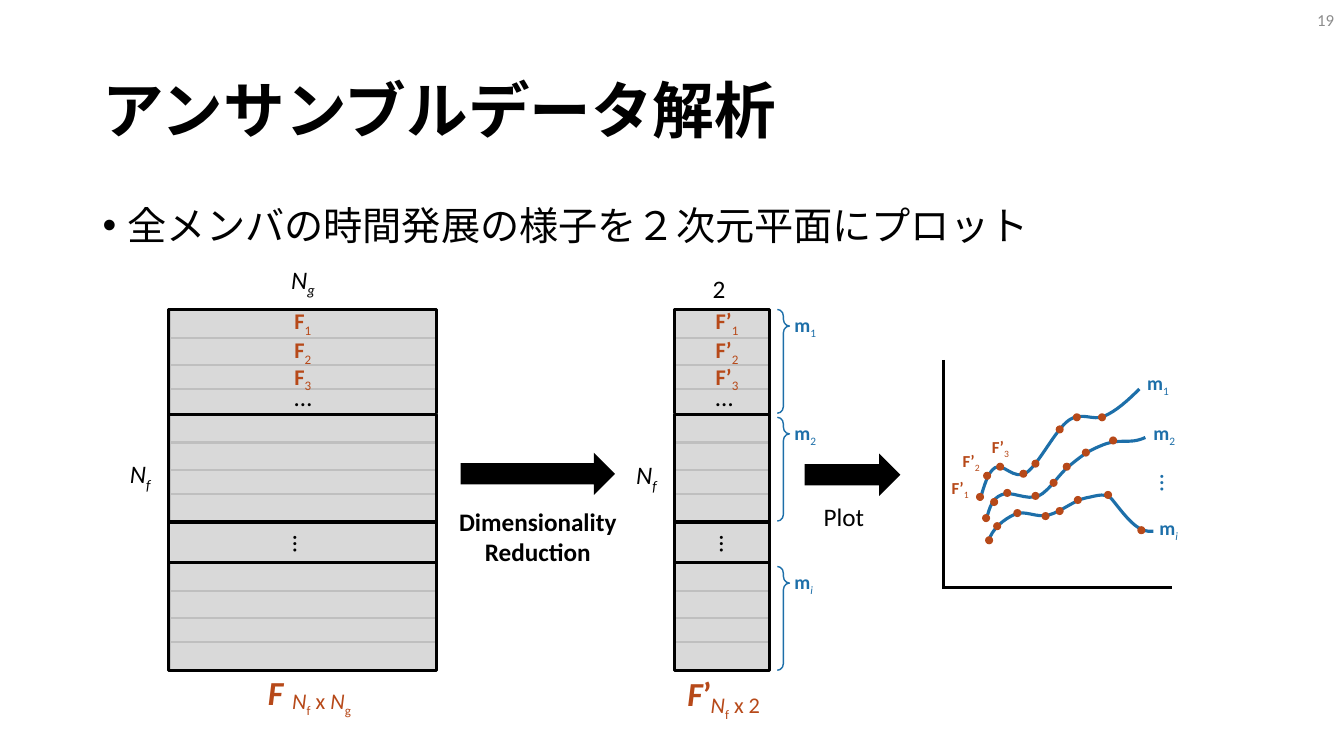
from lxml import etree
from pptx import Presentation
from pptx.dml.color import RGBColor
from pptx.enum.lang import MSO_LANGUAGE_ID as Language
from pptx.enum.shapes import MSO_CONNECTOR as Connector, MSO_SHAPE as Shape
from pptx.enum.text import MSO_ANCHOR as Anchor, MSO_AUTO_SIZE as AutoSize, PP_ALIGN as Align
from pptx.oxml.ns import qn
from pptx.util import Pt

PX = 9144  # 100 px to the inch
BLACK, BLUE, RUST = "000000", "1D6FA9", "B74919"
PALE, SILVER, GRAY = "D9D9D9", "BFBFBF", "8C8C8C"
ROW_OFFSETS = (0, 28, 55, 79)
BLOCKS = ((307, 105), (411, 107), (558, 107))
MEMBERS = (("1", "s"), ("2", "s"), ("i", "is"))

# Each curve is a start point followed by cubic segments of three points.
CURVES = (
    ((972, 496), (976, 482), (980, 468), (987, 464), (995, 459), (1006, 477), (1018, 469),
     (1030, 461), (1047, 426), (1060, 417), (1073, 408), (1084, 418), (1095, 413),
     (1107, 408), (1119, 397), (1130, 386)),
    ((980, 538), (984, 524), (996, 515), (1007, 510), (1017, 506), (1028, 514), (1040, 511),
     (1052, 508), (1066, 496), (1077, 494), (1088, 492), (1098, 487), (1105, 498),
     (1120, 517), (1130, 529), (1144, 527)),
    ((978, 516), (982, 502), (984, 495), (993, 491), (1002, 486), (1018, 497), (1030, 492),
     (1041, 487), (1051, 469), (1062, 461), (1072, 453), (1078, 448), (1090, 443),
     (1112, 433), (1118, 442), (1136, 434)),
)
DOTS = (
    (968, 489), (975, 468), (988, 459), (1011, 466), (1023, 456), (1047, 422), (1064, 410), (1089, 410),
    (974, 510), (982, 494), (995, 485), (1023, 488), (1041, 475), (1054, 459), (1073, 445), (1100, 433),
    (977, 532), (985, 518), (1005, 505), (1033, 508), (1047, 503), (1065, 492), (1095, 487), (1128, 522),
)


def color(code):
    return RGBColor.from_string(code)


def box_emu(box):
    return [value * PX for value in box]


def add_text(page, box, *lines, size=18, ink=BLACK, align=None, anchor=Anchor.TOP,
             wrap=False, spacing=None, bullet=False, rotation=0):
    """Each line is a list of (text, style); style letters: b bold, i italic, s subscript."""
    shape = page.shapes.add_textbox(*box_emu(box))
    shape.rotation = rotation
    frame = shape.text_frame
    frame.word_wrap = wrap
    frame.auto_size = AutoSize.NONE if wrap else AutoSize.SHAPE_TO_FIT_TEXT
    frame.vertical_anchor = anchor
    for index, line in enumerate(lines):
        para = frame.add_paragraph() if index else frame.paragraphs[0]
        para.alignment = align
        para.line_spacing = spacing
        if bullet:
            add_bullet(para)
        for text, style in line:
            span = para.add_run()
            span.text = text
            font = span.font
            font.name, font.size = "Calibri", Pt(size)
            font.bold, font.italic = "b" in style, "i" in style
            font.color.rgb = color(ink)
            font.language_id = Language.JAPANESE
            if "s" in style:
                span._r.get_or_add_rPr().set("baseline", "-25000")


def add_bullet(para):
    properties = para._p.get_or_add_pPr()
    properties.set("marL", str(25 * PX))
    properties.set("indent", str(-25 * PX))
    etree.SubElement(properties, qn("a:buFont")).set("typeface", "Arial")
    etree.SubElement(properties, qn("a:buChar")).set("char", "•")


def paint(shape, fill=None, line=None, weight=1.5):
    shape.shadow.inherit = False
    if fill:
        shape.fill.solid()
        shape.fill.fore_color.rgb = color(fill)
    else:
        shape.fill.background()
    if line:
        shape.line.color.rgb = color(line)
        shape.line.width = Pt(weight)
    else:
        shape.line.fill.background()


def add_preset(page, kind, box, **look):
    shape = page.shapes.add_shape(kind, *box_emu(box))
    paint(shape, **look)
    return shape


def add_axis(page, *ends):
    axis = page.shapes.add_connector(Connector.STRAIGHT, *box_emu(ends))
    axis.line.color.rgb = color(BLACK)
    axis.line.width = Pt(2.25)
    etree.SubElement(axis._element.spPr, qn("a:effectLst"))


def add_curve(page, points):
    """Join every third point by a line, then bend each line with its two control points."""
    builder = page.shapes.build_freeform(*points[0], scale=PX)
    builder.add_line_segments(points[3::3], close=False)
    curve = builder.convert_to_shape()
    left, top = (min(values) for values in zip(*points[::3]))
    segments = list(curve._element.iter(qn("a:lnTo")))
    for index, segment in enumerate(segments):
        segment.tag = qn("a:cubicBezTo")
        for place, (x, y) in enumerate(points[3 * index + 1:3 * index + 3]):
            control = etree.Element(qn("a:pt"), x=str(x - left), y=str(y - top))
            segment.insert(place, control)
    paint(curve, line=BLUE, weight=2.25)


def add_matrix(page, left, width, inset, symbol, label_left, label_width, dots_left):
    for top, height in BLOCKS:
        for offset in ROW_OFFSETS:
            add_preset(page, Shape.RECTANGLE, (left + inset, top + offset, width - inset, 28),
                       fill=PALE, line=SILVER)
        add_preset(page, Shape.RECTANGLE, (left, top, width, height), line=BLACK, weight=2.25)
    add_preset(page, Shape.RECTANGLE, (left, 518, width, 40), fill=PALE, line=BLACK, weight=2.25)
    add_text(page, (label_left, 373, 38, 40), [("…", "")])
    for number, top in enumerate((300, 329, 355), 1):
        add_text(page, (label_left, top, label_width, 37), [(symbol, "b"), (str(number), "s")],
                 size=16, ink=RUST)
    add_text(page, (dots_left, 520, 38, 40), [("…", "")], rotation=90)


def add_member(page, left, top, member):
    add_text(page, (left, top, 43 if member[0] != "i" else 39, 34), [("m", "b"), member],
             size=14, ink=BLUE)


def add_matrices(page):
    rows = [("N", "i"), ("f", "is")]
    product = [("N", "i"), ("f", "s")]
    add_text(page, (279, 257, 45, 40), [("N", "i"), ("g", "is")])
    add_text(page, (119, 450, 42, 40), rows)
    add_text(page, (256, 662, 36, 50), [("F", "bi")], size=24, ink=RUST)
    add_text(page, (280, 677, 81, 37), product + [(" x ", ""), ("N", "i"), ("g", "s")],
             size=16, ink=RUST)
    add_matrix(page, 167, 266, 2, "F", 282, 38, 282)

    add_preset(page, Shape.RIGHT_ARROW, (457, 449, 153, 42), fill=BLACK)
    add_text(page, (445, 497, 177, 71), [("Dimensionality", "b")], [("Reduction", "b")],
             align=Align.CENTER)

    add_text(page, (621, 451, 42, 40), rows)
    add_text(page, (697, 266, 37, 40), [("2", "")], wrap=True)
    add_text(page, (672, 663, 45, 50), [("F", "bi"), ("’", "b")], size=24, ink=RUST)
    add_text(page, (695, 681, 71, 37), product + [(" x 2", "")], size=16, ink=RUST)
    add_matrix(page, 669, 94, 0, "F’", 700, 44, 705)


def add_plot(page):
    for points in CURVES:
        add_curve(page, points)
    for member, left, top in zip(MEMBERS, (1128, 1134, 1140), (363, 413, 507)):
        add_member(page, left, top, member)
    add_text(page, (1142, 460, 38, 40), [("…", "")], ink=BLUE, rotation=90)
    add_preset(page, Shape.RIGHT_ARROW, (798, 450, 95, 42), fill=BLACK)
    add_text(page, (807, 492, 61, 40), [("Plot", "")])
    add_axis(page, 936, 357, 936, 584)
    add_axis(page, 1162, 583, 936, 583)
    for left, top in DOTS:
        add_preset(page, Shape.OVAL, (left, top, 8, 8), fill=RUST)
    for number, (left, top) in enumerate(((934, 469), (945, 442), (974, 428)), 1):
        add_text(page, (left, top, 38, 30), [("F’", "b"), (str(number), "s")], size=12, ink=RUST)


def add_braces(page):
    for member, label_top, brace_top in zip(MEMBERS, (306, 413, 561), (307, 414, 562)):
        add_member(page, 778, label_top, member)
        brace = add_preset(page, Shape.RIGHT_BRACE, (771, brace_top, 12, 103), line=BLUE, weight=1)
        brace.adjustments[0], brace.adjustments[1] = 0.56, 0.16


def main():
    deck = Presentation()
    deck.slide_width, deck.slide_height = 1333 * PX, 750 * PX
    page = deck.slides.add_slide(deck.slide_layouts[6])
    add_text(page, (92, 40, 1150, 145), [("アンサンブルデータ解析", "b")],
             size=44, anchor=Anchor.MIDDLE, wrap=True, spacing=0.9)
    add_text(page, (92, 200, 1150, 476), [("全メンバの時間発展の様子を２次元平面にプロット", "")],
             size=28, wrap=True, spacing=0.9, bullet=True)
    add_matrices(page)
    add_plot(page)
    add_braces(page)
    add_text(page, (1033, 0, 300, 40), [("19", "")], size=12, ink=GRAY,
             align=Align.RIGHT, anchor=Anchor.MIDDLE, wrap=True)
    deck.save("out.pptx")


if __name__ == "__main__":
    main()
